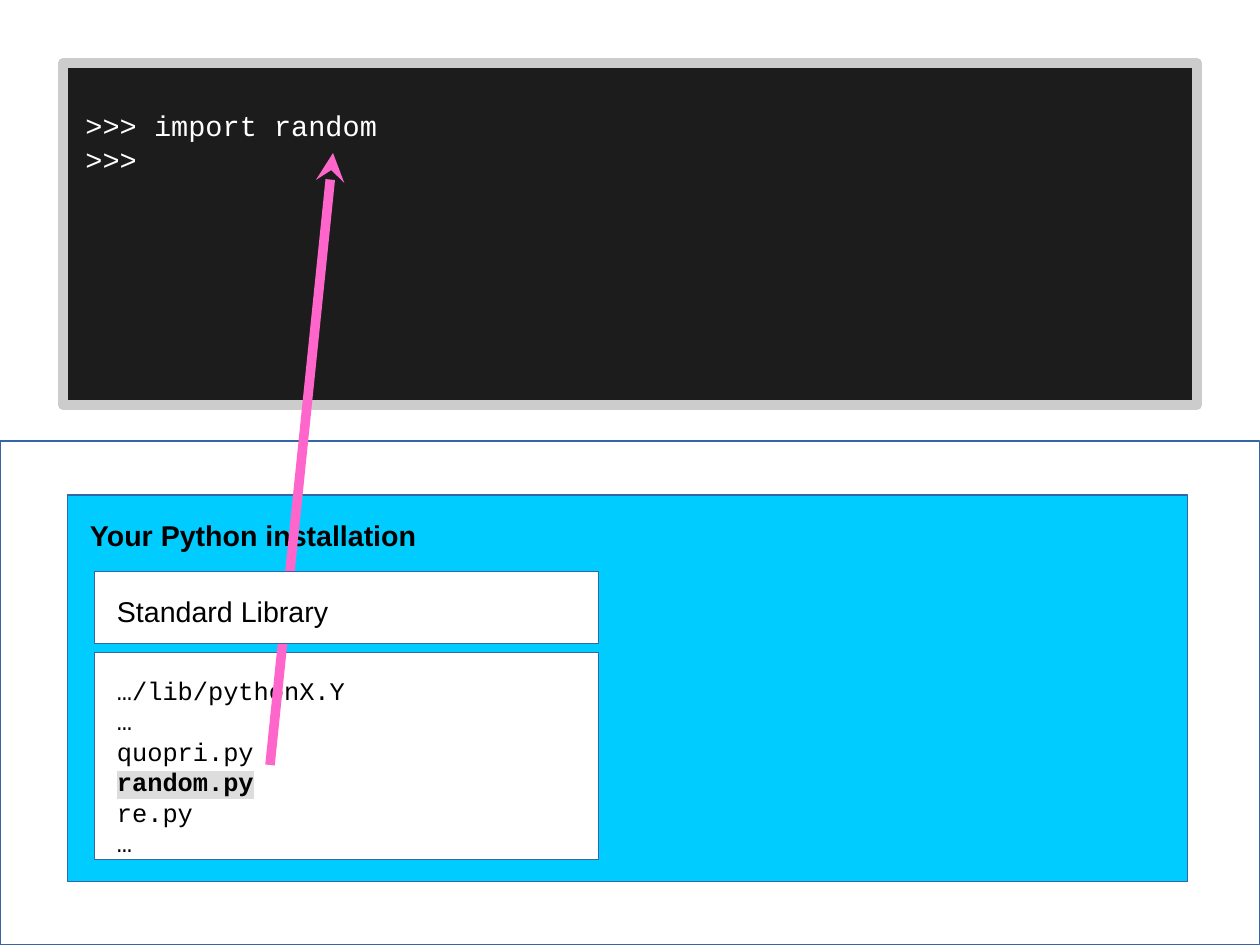
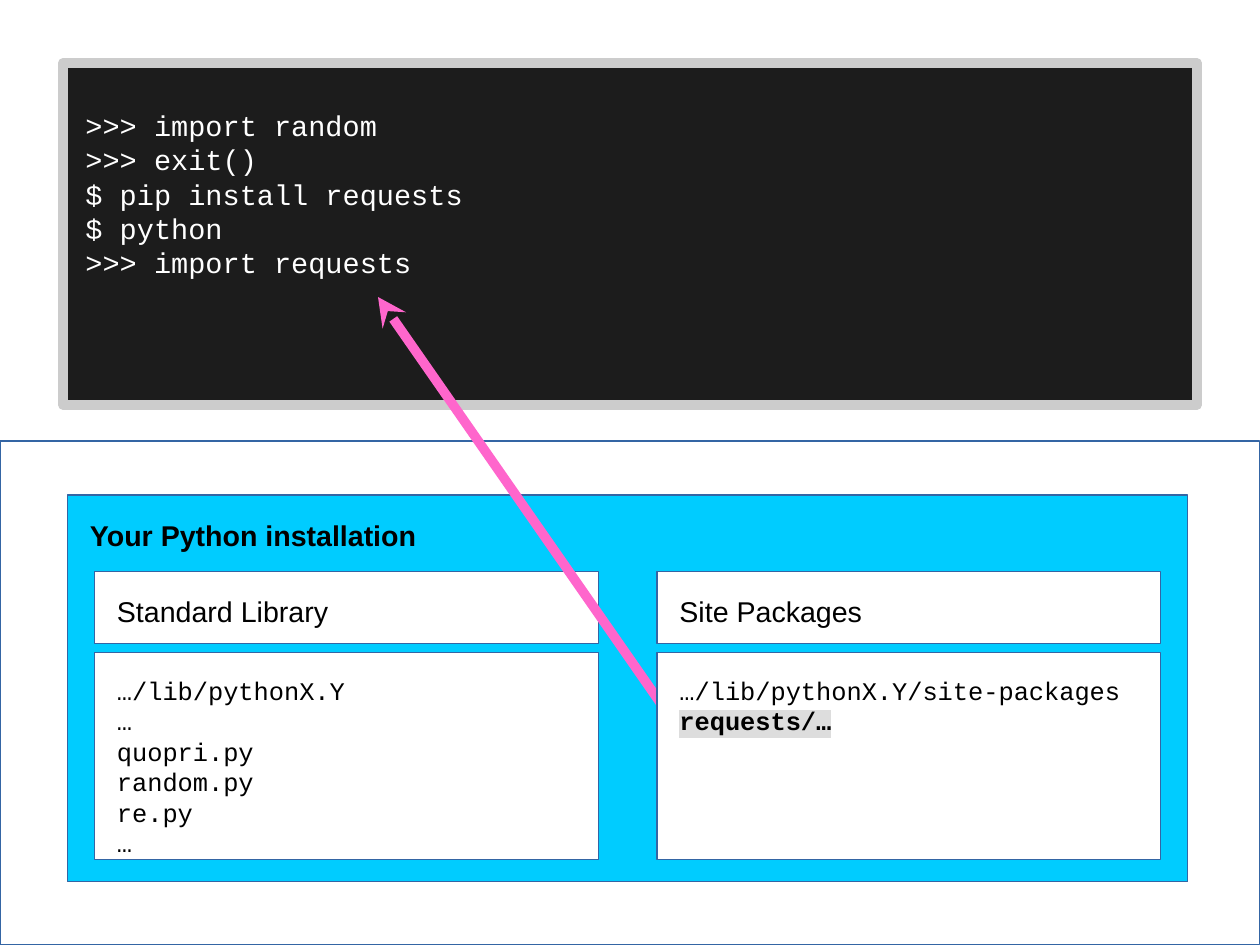
"""Build two slides showing where Python finds the modules it imports."""
from lxml import etree
from pptx import Presentation
from pptx.dml.color import RGBColor
from pptx.enum.shapes import MSO_CONNECTOR, MSO_SHAPE
from pptx.enum.text import MSO_ANCHOR, PP_ALIGN
from pptx.oxml.ns import qn
from pptx.util import Cm, Pt

RECTANGLE = MSO_SHAPE.RECTANGLE
STRAIGHT = MSO_CONNECTOR.STRAIGHT
TOP = MSO_ANCHOR.TOP
LEFT = PP_ALIGN.LEFT

WHITE = RGBColor(0xFF, 0xFF, 0xFF)
BLACK = RGBColor(0x00, 0x00, 0x00)
TERMINAL = RGBColor(0x1C, 0x1C, 0x1C)
FRAME = RGBColor(0xCC, 0xCC, 0xCC)
OUTLINE = RGBColor(0x34, 0x65, 0xA4)
CYAN = RGBColor(0x00, 0xCC, 0xFF)
PINK = RGBColor(0xFF, 0x66, 0xCC)
MARKER = RGBColor(0xDD, 0xDD, 0xDD)

SANS = "Arial"
MONO = "Courier New"

STANDARD_LEFT, SITE_LEFT = 2.1, 14.6
HEADER_TOP, HEADER_HEIGHT = 12.7, 1.6
LIST_TOP, LIST_HEIGHT = 14.5, 4.6
COLUMN_WIDTH = 11.2


def add_box(slide, left, top, width, height, lines=(), fill=WHITE, line=OUTLINE,
            line_width=0, font=SANS, size=18, color=BLACK, bold=False,
            inset=0.5, marked=None):
    box = slide.shapes.add_shape(RECTANGLE, Cm(left), Cm(top), Cm(width), Cm(height))
    box.shadow.inherit = False
    box.fill.solid()
    box.fill.fore_color.rgb = fill
    box.line.color.rgb = line
    box.line.width = Pt(line_width)
    etree.SubElement(box.line._get_or_add_ln(), qn("a:round"))
    frame = box.text_frame
    frame.word_wrap = True
    frame.vertical_anchor = TOP
    frame.margin_left = frame.margin_right = Cm(0.5)
    frame.margin_top = frame.margin_bottom = Cm(inset)
    frame.text = "\n".join(lines)
    for paragraph in frame.paragraphs:
        paragraph.alignment = LEFT
        for span in paragraph.runs:
            span.font.size = Pt(size)
            span.font.name = font
            span.font.bold = bold or span.text == marked
            span.font.color.rgb = color
            if span.text == marked:
                highlight = etree.Element(qn("a:highlight"))
                etree.SubElement(highlight, qn("a:srgbClr"), val=str(MARKER))
                span._r.get_or_add_rPr().find(qn("a:solidFill")).addnext(highlight)


def add_arrow(slide, start_x, start_y, end_x, end_y):
    arrow = slide.shapes.add_connector(STRAIGHT, Cm(start_x), Cm(start_y), Cm(end_x), Cm(end_y))
    arrow.line.color.rgb = PINK
    arrow.line.width = Pt(6)
    etree.SubElement(arrow.line._get_or_add_ln(), qn("a:tailEnd"), type="stealth")
    etree.SubElement(arrow._element.spPr, qn("a:effectLst"))


deck = Presentation()
deck.slide_width = Cm(28)
deck.slide_height = Cm(21)
blank = deck.slide_layouts[6]

sessions = [
    ([">>> import random", ">>>"], "random.py"),
    ([">>> import random", ">>> exit()", "$ pip install requests",
      "$ python", ">>> import requests"], None),
]
modules = ["…/lib/pythonX.Y", "…", "quopri.py", "random.py", "re.py", "…"]

slides = []
for commands, imported in sessions:
    slide = deck.slides.add_slide(blank)
    add_box(slide, 1.4, 1.4, 25.2, 7.6, commands, fill=TERMINAL, line=FRAME,
            line_width=6, font=MONO, color=WHITE, inset=1)
    add_box(slide, 0, 9.8, 28, 11.2)
    add_box(slide, 1.5, 11, 24.9, 8.6, ["Your Python installation"], fill=CYAN, bold=True)
    add_box(slide, STANDARD_LEFT, LIST_TOP, COLUMN_WIDTH, LIST_HEIGHT, modules,
            font=MONO, size=16, marked=imported)
    slides.append(slide)

standard_slide, site_slide = slides

add_arrow(standard_slide, 6, 17, 7.4, 3.4)
for slide in slides:
    add_box(slide, STANDARD_LEFT, HEADER_TOP, COLUMN_WIDTH, HEADER_HEIGHT, ["Standard Library"])

add_box(site_slide, SITE_LEFT, HEADER_TOP, COLUMN_WIDTH, HEADER_HEIGHT, ["Site Packages"])
add_arrow(site_slide, 14.8, 15.8, 8.4, 6.6)
add_box(site_slide, SITE_LEFT, LIST_TOP, COLUMN_WIDTH, LIST_HEIGHT,
        ["…/lib/pythonX.Y/site-packages", "requests/…"],
        font=MONO, size=16, marked="requests/…")

deck.save("out.pptx")
